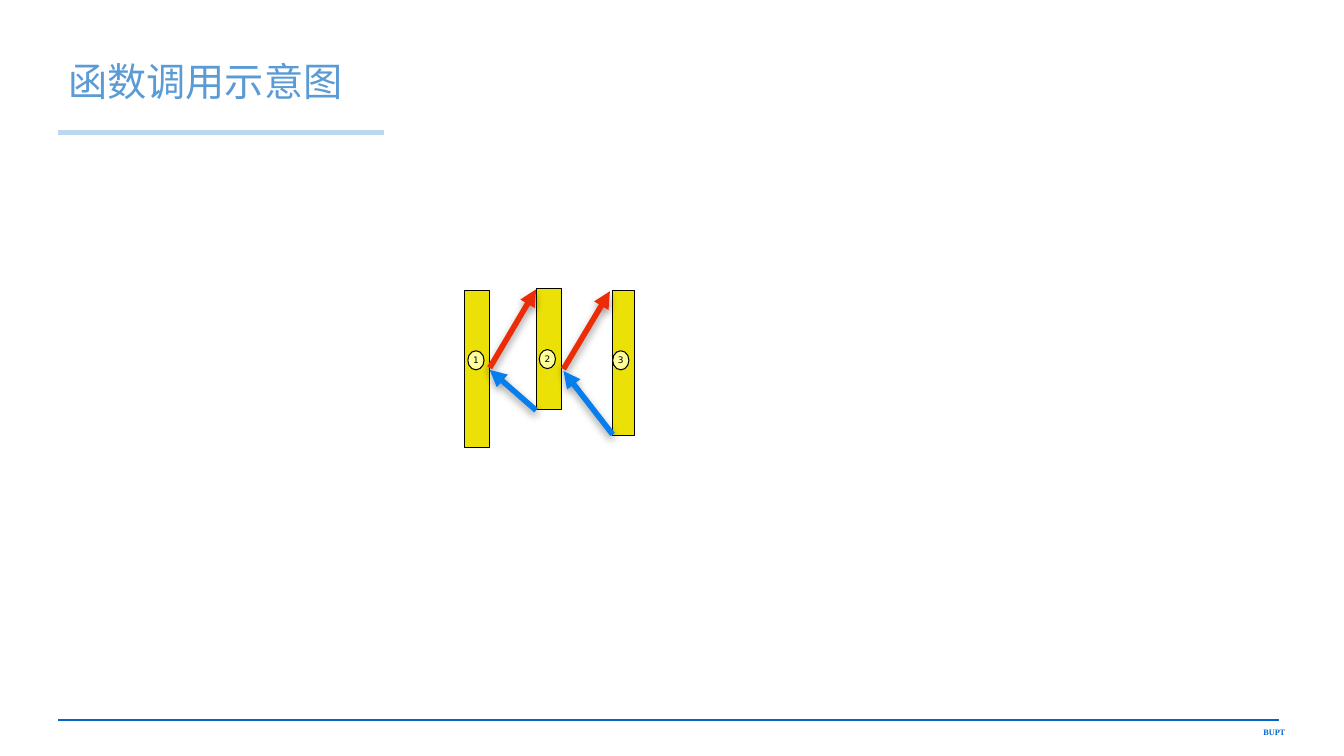
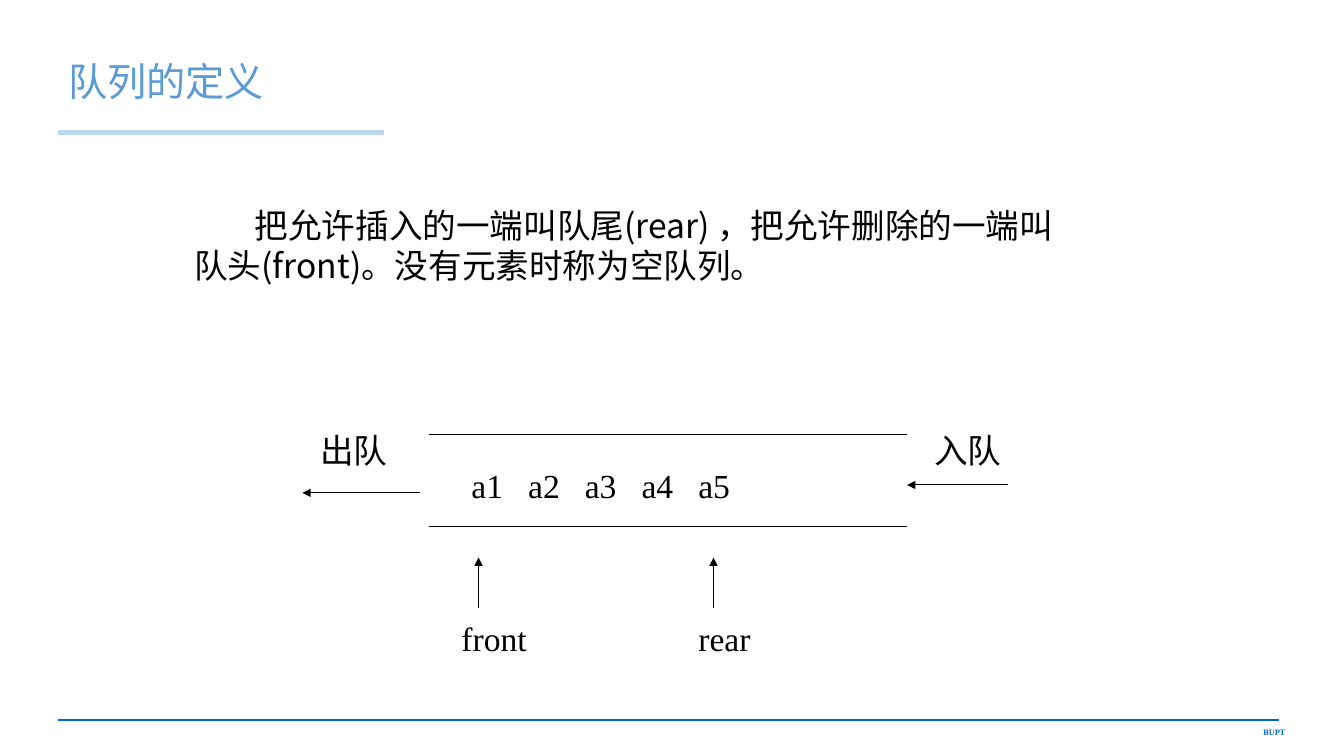
from lxml.etree import SubElement
from pptx import Presentation
from pptx.dml.color import RGBColor
from pptx.enum.shapes import MSO_CONNECTOR, MSO_SHAPE
from pptx.enum.text import MSO_ANCHOR, MSO_AUTO_SIZE, PP_ALIGN
from pptx.oxml import parse_xml
from pptx.oxml.ns import nsdecls, qn
from pptx.util import Cm, Pt

COLORS = {
    "title": "5B9BD5", "underline": "BDD7EE", "footer": "0066CC",
    "ink": "000000", "bar": "ECE106", "badge": "FFFF99",
    "call": "EC2C06", "return": "067EEC",
}
SANS, SERIF, DIGITS = "Noto Sans CJK SC", "Times New Roman", "DejaVu Sans"

# All positions and sizes are in centimetres.
FOOTER = "BUPT"
FOOTER_BOX = (29.21, 18.21, 3.43, 0.51)
TITLE_BOX = (1.47, 0.91, 28.68, 2.39)
RULES = [  # start, end, colour, points
    ((1.47, 18.14), (32.23, 18.14), "footer", 1.5),
    ((1.47, 3.33), (9.68, 3.33), "underline", 3.5),
]

CALL_TITLE = "函数调用示意图"
CALL_BARS = [  # number, bar box, badge corner
    ("1", (11.71, 7.32, 0.64, 3.96), (11.79, 8.84)),
    ("2", (13.51, 7.26, 0.64, 3.05), (13.59, 8.81)),
    ("3", (15.44, 7.32, 0.56, 3.66), (15.44, 8.84)),
]
BADGE_SIZE = (0.41, 0.48)
CALL_ARROWS = [
    ((12.34, 9.27), (13.51, 7.29), "call"),
    ((13.51, 10.34), (12.34, 9.32), "return"),
    ((14.2, 9.3), (15.37, 7.34), "call"),
    ((15.44, 10.95), (14.2, 9.35), "return"),
]

QUEUE_TITLE = "队列的定义"
DEFINITION = "把允许插入的一端叫队尾(rear) ，把允许删除的一端叫\v队头(front)。没有元素时称为空队列。"
DEFINITION_BOX = (4.65, 5.03, 24.69, 2.31)
DEFINITION_INDENT = 1.52
ELEMENTS = ["a1", "a2", "a3", "a4", "a5"]
ELEMENTS_BOX = (11.63, 11.58, 7.04, 1.27)
ELEMENT_PITCH = 1.43
QUEUE_WALLS = [((10.8, y), (22.86, y)) for y in (10.95, 13.26)]
QUEUE_ARROWS = [
    ((10.59, 12.42), (7.62, 12.42)),
    ((25.4, 12.22), (22.86, 12.22)),
    ((12.06, 15.32), (12.06, 14.05)),
    ((17.98, 15.32), (17.98, 14.05)),
]
QUEUE_LABELS = [
    ("出队", (7.82, 10.72, 2.21, 1.27)),
    ("入队", (23.29, 10.72, 2.21, 1.27)),
    ("front", (11.38, 15.44, 2.16, 1.27)),
    ("rear", (17.35, 15.44, 1.83, 1.27)),
]


def rgb(name):
    return RGBColor.from_string(COLORS[name])


def cm(values):
    return [Cm(value) for value in values]


def write(frame, text, font, size, color="ink", bold=False,
          align=PP_ALIGN.LEFT, **frame_format):
    """Fill a text frame with one formatted paragraph and return it."""
    for attribute, value in frame_format.items():
        setattr(frame, attribute, value)
    paragraph = frame.paragraphs[0]
    paragraph.text = text
    paragraph.alignment = align
    for run in paragraph.runs:
        for attribute, value in {"name": font, "size": Pt(size), "bold": bold}.items():
            setattr(run.font, attribute, value)
        run.font.color.rgb = rgb(color)
        SubElement(run.font._element, qn("a:ea"), typeface=SANS)
    return paragraph


def add_text(slide, box, text, font, size, **text_format):
    frame = slide.shapes.add_textbox(*cm(box)).text_frame
    return write(frame, text, font, size, **text_format)


def add_line(slide, start, end, color="ink", width=0.75, arrow=False, shadow=False):
    line = slide.shapes.add_connector(MSO_CONNECTOR.STRAIGHT, *cm(start + end))
    line.line.color.rgb = rgb(color)
    line.line.width = Pt(width)
    if arrow:
        SubElement(line.line._get_or_add_ln(), qn("a:tailEnd"), type="triangle")
    effects = SubElement(line._element.spPr, qn("a:effectLst"))
    if shadow:
        effects.append(parse_xml(
            f'<a:outerShdw {nsdecls("a")} blurRad="{Pt(6)}" dist="{Pt(3)}" '
            f'dir="5400000" rotWithShape="0"><a:srgbClr val="{COLORS["ink"]}">'
            '<a:alpha val="38000"/></a:srgbClr></a:outerShdw>'))
    return line


def add_outlined(slide, kind, box, fill):
    shape = slide.shapes.add_shape(kind, *cm(box))
    shape.shadow.inherit = False
    shape.fill.solid()
    shape.fill.fore_color.rgb = rgb(fill)
    shape.line.color.rgb = rgb("ink")
    shape.line.width = Pt(0.75)
    return shape


def add_titled_slide(deck, layout, title):
    slide = deck.slides.add_slide(layout)
    paragraph = write(slide.shapes.title.text_frame, title, SANS, 28, "title",
                      vertical_anchor=MSO_ANCHOR.MIDDLE,
                      auto_size=MSO_AUTO_SIZE.NONE)
    paragraph.line_spacing = 0.9
    return slide


def furnish_layout(layout, slide):
    """Place the title, and move rules and footer from the slide to its layout."""
    title = layout.placeholders[0]
    for side, value in zip(("left", "top", "width", "height"), cm(TITLE_BOX)):
        setattr(title, side, value)
    before = len(slide.shapes)
    for rule in RULES:
        add_line(slide, *rule)
    add_text(slide, FOOTER_BOX, FOOTER, SERIF, 5.9, color="footer", bold=True,
             align=PP_ALIGN.RIGHT, word_wrap=True)
    for shape in list(slide.shapes)[before:]:
        layout.shapes._spTree.append(shape._element)


def draw_calls(slide):
    for number, bar, corner in CALL_BARS:
        add_outlined(slide, MSO_SHAPE.RECTANGLE, bar, "bar")
        badge = add_outlined(slide, MSO_SHAPE.OVAL, corner + BADGE_SIZE, "badge")
        write(badge.text_frame, number, DIGITS, 6.4, align=PP_ALIGN.CENTER,
              word_wrap=False, vertical_anchor=MSO_ANCHOR.MIDDLE,
              margin_left=0, margin_right=0, margin_top=0, margin_bottom=0)
    for start, end, color in CALL_ARROWS:
        add_line(slide, start, end, color, 4, arrow=True, shadow=True)


def draw_queue(slide):
    definition = add_text(slide, DEFINITION_BOX, DEFINITION, SANS, 24, word_wrap=True)
    definition._p.get_or_add_pPr().set("indent", str(Cm(DEFINITION_INDENT)))
    for wall in QUEUE_WALLS:
        add_line(slide, *wall)
    elements = add_text(slide, ELEMENTS_BOX, "\t".join(ELEMENTS), SERIF, 24, word_wrap=True)
    stops = SubElement(elements._p.get_or_add_pPr(), qn("a:tabLst"))
    for index in range(1, len(ELEMENTS)):
        SubElement(stops, qn("a:tab"), pos=str(Cm(index * ELEMENT_PITCH)), algn="l")
    for arrow in QUEUE_ARROWS:
        add_line(slide, *arrow, arrow=True)
    for label, box in QUEUE_LABELS:
        add_text(slide, box, label, SERIF, 24, word_wrap=False)


def main():
    deck = Presentation()
    deck.slide_width, deck.slide_height = cm((33.87, 19.05))
    layout = deck.slide_layouts[5]
    calls = add_titled_slide(deck, layout, CALL_TITLE)
    furnish_layout(layout, calls)
    draw_calls(calls)
    draw_queue(add_titled_slide(deck, layout, QUEUE_TITLE))
    deck.save("out.pptx")


if __name__ == "__main__":
    main()
